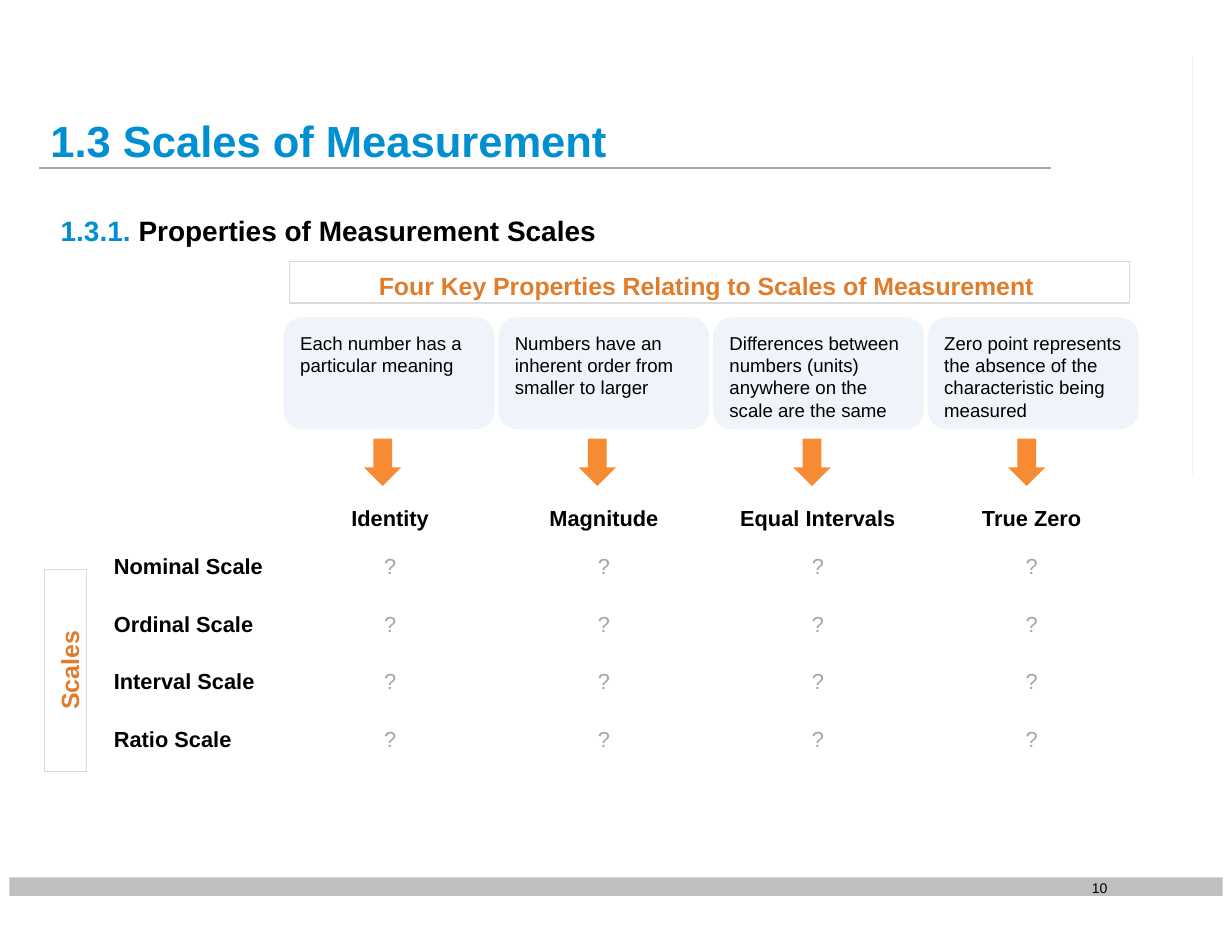
from lxml.etree import SubElement
from pptx import Presentation
from pptx.dml.color import RGBColor
from pptx.enum.shapes import MSO_CONNECTOR as LINE, MSO_SHAPE as SHAPE
from pptx.enum.text import MSO_ANCHOR as ANCHOR, PP_ALIGN as ALIGN
from pptx.oxml.ns import qn
from pptx.util import Pt

# Content
TITLE = "1.3 Scales of Measurement"
SECTION = [("1.3.1. ", "008FD0"), ("Properties of Measurement Scales", "000000")]
BANNER = "Four Key Properties Relating to Scales of Measurement"
PROPERTIES = [
    ("Identity", "Each number has a particular meaning"),
    ("Magnitude", "Numbers have an inherent order from smaller to larger"),
    ("Equal Intervals", "Differences between numbers (units) anywhere on the scale are the same"),
    ("True Zero", "Zero point represents the absence of the characteristic being measured"),
]
SCALES = ["Nominal Scale", "Ordinal Scale", "Interval Scale", "Ratio Scale"]
SIDE_LABEL = "Scales"
PAGE_NUMBER = "10"

# Colours
BLUE, ORANGE, DARK_ORANGE = "008FD0", "F78B33", "E07D2D"
CARD_FILL, FRAME, GREY, BLACK = "EEF4FA", "D9D9D9", "A6A6A6", "000000"

# Layout
CARD_PITCH = 138
CARD_LEFT, CARD_TOP, CARD_WIDTH, CARD_HEIGHT = 182.4, 204, 135.6, 72
ARROW_LEFT, ARROW_TOP, ARROW_WIDTH, ARROW_HEIGHT = 234, 282, 24, 30.5
TABLE_LEFT, TABLE_TOP = 70.6, 325.6
COLUMN_WIDTHS = [126.7, 117.4, 135.4, 154.1, 94.3]
ROW_HEIGHTS = [31, 37.1, 37.1, 37.1, 31]
FIRST_CENTER, CENTER_PITCH = 250.8, 137.5


def color(code):
    return RGBColor.from_string(code)


def write(frame, text, size=14, fill=BLACK, bold=False, align=ALIGN.LEFT,
          anchor=ANCHOR.TOP, margins=(0, 0, 0, 0)):
    """Fill a text frame or cell; text is a string or a list of (text, colour)."""
    frame.margin_left, frame.margin_top, frame.margin_right, frame.margin_bottom = map(Pt, margins)
    frame.vertical_anchor = anchor
    body = getattr(frame, "text_frame", frame)
    body.word_wrap = True
    para = body.paragraphs[0]
    para.alignment = align
    for words, shade in [(text, fill)] if isinstance(text, str) else text:
        span = para.add_run()
        span.text = words
        span.font.name, span.font.size, span.font.bold = "Arial", Pt(size), bold
        span.font.color.rgb = color(shade)


def add_box(left, top, width, height, text, **style):
    box = page.shapes.add_textbox(Pt(left), Pt(top), Pt(width), Pt(height))
    write(box.text_frame, text, **style)


def add_shape(kind, left, top, width, height, fill=None, line=None):
    shape = page.shapes.add_shape(kind, Pt(left), Pt(top), Pt(width), Pt(height))
    shape.shadow.inherit = False
    if fill:
        shape.fill.solid()
        shape.fill.fore_color.rgb = color(fill)
    else:
        shape.fill.background()
    if line:
        shape.line.color.rgb = color(line)
        shape.line.width = Pt(0.75)
    else:
        shape.line.fill.background()
    return shape


def add_line(x1, y1, x2, y2, shade, width):
    line = page.shapes.add_connector(LINE.STRAIGHT, Pt(x1), Pt(y1), Pt(x2), Pt(y2))
    line.line.color.rgb = color(shade)
    line.line.width = Pt(width)
    SubElement(line._element.spPr, qn("a:effectLst"))


deck = Presentation()
deck.slide_width, deck.slide_height = Pt(792), Pt(612)
page = deck.slides.add_slide(deck.slide_layouts[6])

# Rules, title and section heading
add_line(25.2, 108, 675.4, 108, "A5A5A5", 0.94)
add_line(766.8, 36, 766.8, 304.6, "FDEBDD", 0.75)
add_box(32.4, 75.2, 728.6, 30.2, TITLE, size=28, fill=BLUE, bold=True, anchor=ANCHOR.MIDDLE)
add_box(39, 137, 630, 22, SECTION, size=18, bold=True)

# Framed labels: banner above, rotated label beside the table
label_style = dict(size=16, fill=DARK_ORANGE, bold=True, align=ALIGN.CENTER, anchor=ANCHOR.BOTTOM)
banner = add_shape(SHAPE.RECTANGLE, 186, 168, 540, 26.8, line=FRAME)
write(banner.text_frame, BANNER, margins=(0, 0, 3.6, 1.9), **label_style)
side = add_shape(SHAPE.RECTANGLE, 28.4, 366, 27, 129.8, line=FRAME)
write(side.text_frame, SIDE_LABEL, margins=(0, 0, 1.4, 0), **label_style)
side.text_frame._txBody.bodyPr.set("vert", "vert270")

# Property cards, each with an arrow to its table column
for index, (_, meaning) in enumerate(PROPERTIES):
    shift = index * CARD_PITCH
    card = add_shape(SHAPE.ROUNDED_RECTANGLE, CARD_LEFT + shift, CARD_TOP,
                     CARD_WIDTH, CARD_HEIGHT, fill=CARD_FILL)
    card.adjustments[0] = 0.17
    write(card.text_frame, meaning, size=12, margins=(7, 5.5, 2, 0))
    add_shape(SHAPE.DOWN_ARROW, ARROW_LEFT + shift, ARROW_TOP,
              ARROW_WIDTH, ARROW_HEIGHT, fill=ORANGE)

# Table of scales against properties
rows = [[""] + [name for name, _ in PROPERTIES]]
rows += [[scale] + ["?"] * len(PROPERTIES) for scale in SCALES]
table = page.shapes.add_table(len(rows), len(COLUMN_WIDTHS), Pt(TABLE_LEFT), Pt(TABLE_TOP),
                              Pt(sum(COLUMN_WIDTHS)), Pt(sum(ROW_HEIGHTS))).table
table.first_row = table.horz_banding = False
for row, height in zip(table.rows, ROW_HEIGHTS):
    row.height = Pt(height)
left = TABLE_LEFT
for c, width in enumerate(COLUMN_WIDTHS):
    table.columns[c].width = Pt(width)
    # Margins move centred text onto the evenly spaced column centres
    offset = 2 * (FIRST_CENTER + (c - 1) * CENTER_PITCH - left - width / 2)
    margins = (max(offset, 0), 0, max(-offset, 0), 0) if c else (2.6, 0, 0, 0)
    for r, values in enumerate(rows):
        cell = table.cell(r, c)
        cell.fill.background()
        is_label = r == 0 or c == 0
        write(cell, values[c], fill=BLACK if is_label else GREY, bold=is_label,
              align=ALIGN.CENTER if c else ALIGN.LEFT, margins=margins)
    left += width

# Footer bar and page number
add_shape(SHAPE.RECTANGLE, 6, 564, 780, 12, fill="BFBFBF")
add_box(700, 565.6, 14.4, 10.8, PAGE_NUMBER, size=9, margins=(2, 0, 0, 0))

deck.save("out.pptx")
